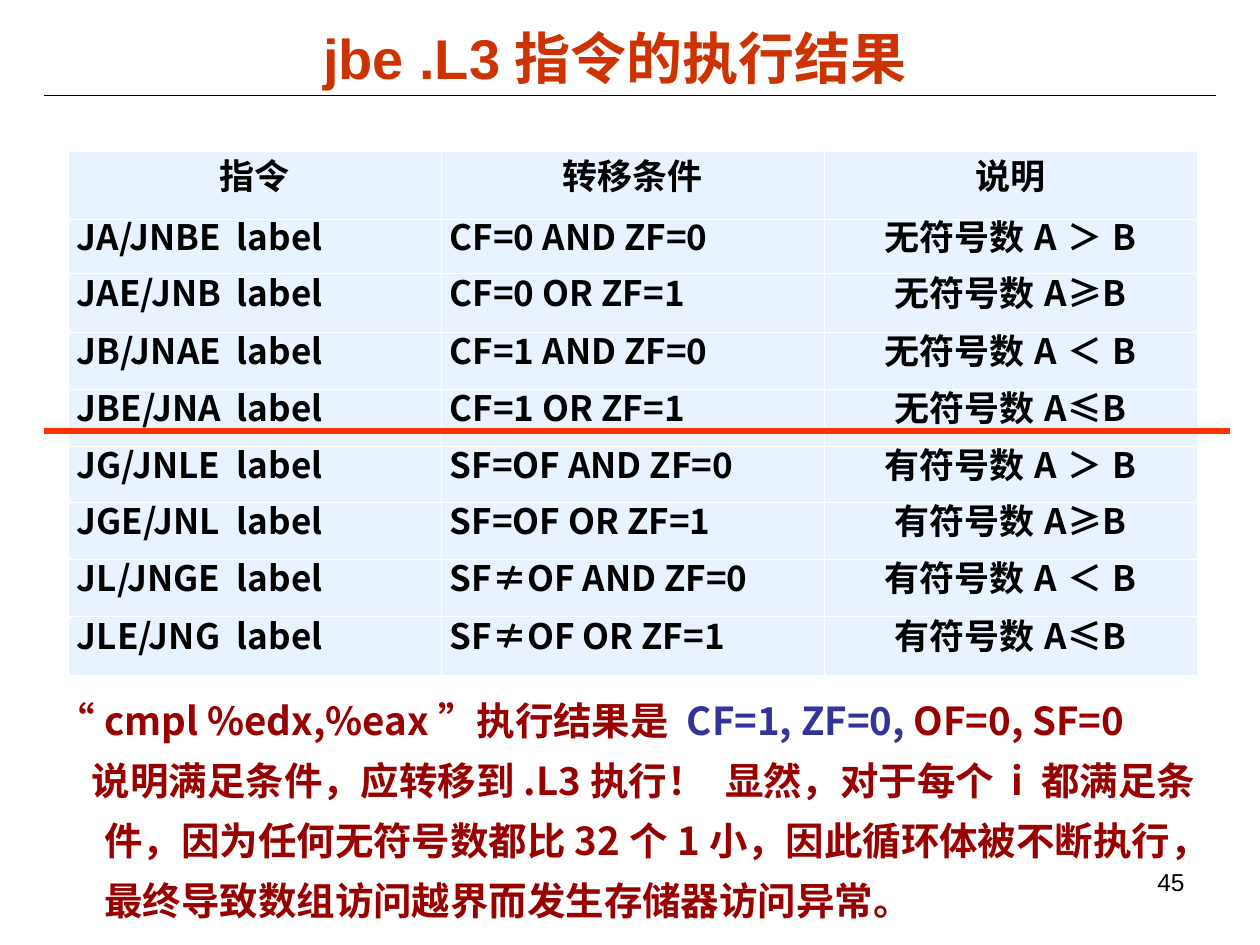
"""Build the slide on conditional jump instructions and the result of jbe."""
from dataclasses import dataclass

from lxml import etree
from pptx import Presentation
from pptx import util as u
from pptx.dml.color import RGBColor
from pptx.enum import shapes, text
from pptx.oxml import ns

COLUMNS, ROWS = 1000, 750
CELL = u.Inches(0.01)
LATIN, CJK = "Arial", "Noto Sans CJK SC"
BLACK = RGBColor(0x00, 0x00, 0x00)
WHITE = RGBColor(0xFF, 0xFF, 0xFF)
ORANGE = RGBColor(0xCC, 0x33, 0x00)
RED = RGBColor(0xFF, 0x33, 0x00)
MAROON = RGBColor(0x99, 0x00, 0x00)
INDIGO = RGBColor(0x33, 0x33, 0x99)
PALE_BLUE = RGBColor(0xE8, 0xF3, 0xFF)
ALIGN = text.PP_ALIGN


@dataclass(frozen=True)
class Frame:
    """A rectangle counted in grid columns and rows."""
    column: int
    row: int
    columns: int
    rows: int

    def lengths(self) -> tuple[int, ...]:
        return tuple(n * CELL for n in (self.column, self.row, self.columns, self.rows))


@dataclass(frozen=True)
class Style:
    """The look of a run of text."""
    size: int
    color: RGBColor
    latin: str = CJK
    bold: bool = True


@dataclass(frozen=True)
class Rule:
    """A horizontal line across the slide."""
    start: int
    end: int
    row: int
    color: RGBColor
    width: float


@dataclass(frozen=True)
class Jump:
    """One row of the instruction table."""
    names: str
    condition: str
    meaning: str


TITLE = Style(32, ORANGE, LATIN)
TABLE = Style(20, BLACK)
NOTE = Style(22, MAROON)
FLAGS = Style(22, INDIGO)
NUMBER = Style(14, BLACK, LATIN, False)

HEADINGS = ("指令", "转移条件", "说明")
JUMPS = (
    Jump("JA/JNBE", "CF=0 AND ZF=0", "无符号数A＞B"),
    Jump("JAE/JNB", "CF=0 OR ZF=1", "无符号数A≥B"),
    Jump("JB/JNAE", "CF=1 AND ZF=0", "无符号数A＜B"),
    Jump("JBE/JNA", "CF=1 OR ZF=1", "无符号数A≤B"),
    Jump("JG/JNLE", "SF=OF AND ZF=0", "有符号数A＞B"),
    Jump("JGE/JNL", "SF=OF OR ZF=1", "有符号数A≥B"),
    Jump("JL/JNGE", "SF≠OF AND ZF=0", "有符号数A＜B"),
    Jump("JLE/JNG", "SF≠OF OR ZF=1", "有符号数A≤B"),
)
TABLE_COLUMNS = (296, 304, 296)
TABLE_ROWS = (54, 43, 47, 45, 45, 45, 45, 45, 47)
LABEL_TAB = 127
HEADER_RULE = Rule(35, 965, 76, BLACK, 0.75)
SIGN_RULE = Rule(35, 976, 342, RED, 3)
NOTE_LINES = (
    (-38, (("“cmpl %edx,%eax”执行结果是 ", NOTE),
           ("CF=1, ZF=0, ", FLAGS),
           ("OF=0, SF=0", NOTE))),
    (-10, (("说明满足条件，应转移到.L3执行！\u2002显然，对于每个 i 都满足条件，"
            "因为任何无符号数都比32个1小，因此循环体被不断执行，"
            "最终导致数组访问越界而发生存储器访问异常。", NOTE),)),
)


def add_span(para, words: str, style: Style) -> None:
    span = para.add_run()
    span.text = words
    span.font.size = u.Pt(style.size)
    span.font.bold = style.bold
    span.font.name = style.latin
    span.font.color.rgb = style.color
    east_asian = etree.SubElement(span.font._element, ns.qn("a:ea"))
    east_asian.set("typeface", CJK)


def set_margins(holder, side: float, edge: float) -> None:
    holder.margin_left = holder.margin_right = u.Inches(side)
    holder.margin_top = holder.margin_bottom = u.Inches(edge)


def add_rule(page, rule: Rule) -> None:
    line = page.shapes.add_connector(
        shapes.MSO_CONNECTOR.STRAIGHT, rule.start * CELL, rule.row * CELL,
        rule.end * CELL, rule.row * CELL)
    line.line.color.rgb = rule.color
    line.line.width = u.Pt(rule.width)
    etree.SubElement(line._element.spPr, ns.qn("a:effectLst"))


def add_borders(cell, color: RGBColor, width: float) -> None:
    properties = cell._tc.get_or_add_tcPr()
    for place, side in enumerate(("lnL", "lnR", "lnT", "lnB")):
        border = etree.Element(ns.qn(f"a:{side}"), w=str(u.Pt(width)))
        fill = etree.SubElement(border, ns.qn("a:solidFill"))
        etree.SubElement(fill, ns.qn("a:srgbClr"), val=str(color))
        properties.insert(place, border)


def fill_cell(cell, words: str, align) -> None:
    cell.fill.solid()
    cell.fill.fore_color.rgb = PALE_BLUE
    add_borders(cell, WHITE, 0.45)
    set_margins(cell, 0.07, 0.05)
    cell.vertical_anchor = text.MSO_ANCHOR.MIDDLE
    para = cell.text_frame.paragraphs[0]
    para.alignment = align
    para.line_spacing = u.Pt(16)
    if "\t" in words:
        stops = etree.SubElement(para._p.get_or_add_pPr(), ns.qn("a:tabLst"))
        etree.SubElement(stops, ns.qn("a:tab"), pos=str(LABEL_TAB * CELL), algn="l")
    add_span(para, words, TABLE)


def add_jump_table(page, frame: Frame) -> None:
    table = page.shapes.add_table(
        len(TABLE_ROWS), len(TABLE_COLUMNS), *frame.lengths()).table
    table.first_row = table.horz_banding = False
    for column, width in zip(table.columns, TABLE_COLUMNS):
        column.width = width * CELL
    for row, height in zip(table.rows, TABLE_ROWS):
        row.height = height * CELL
    body = [(f"{jump.names}\tlabel", jump.condition, jump.meaning) for jump in JUMPS]
    for r, line in enumerate([HEADINGS, *body]):
        for c, words in enumerate(line):
            centred = r == 0 or c == 2
            fill_cell(table.cell(r, c), words, ALIGN.CENTER if centred else ALIGN.JUSTIFY)


def add_title(page, words: str, frame: Frame) -> None:
    title = page.shapes.title
    title.left, title.top, title.width, title.height = frame.lengths()
    title.text_frame.auto_size = text.MSO_AUTO_SIZE.NONE
    title.text_frame.vertical_anchor = text.MSO_ANCHOR.MIDDLE
    para = title.text_frame.paragraphs[0]
    para.alignment = ALIGN.CENTER
    add_span(para, words, TITLE)


def add_note(page, frame: Frame) -> None:
    box = page.shapes.add_textbox(*frame.lengths())
    box.fill.solid()
    box.fill.fore_color.rgb = WHITE
    body = box.text_frame
    body.word_wrap = True
    body.auto_size = text.MSO_AUTO_SIZE.SHAPE_TO_FIT_TEXT
    set_margins(body, 0.07, 0.03)
    for place, (indent, spans) in enumerate(NOTE_LINES):
        para = body.add_paragraph() if place else body.paragraphs[0]
        para.line_spacing = 1.3
        properties = para._p.get_or_add_pPr()
        properties.set("marL", str(38 * CELL))
        properties.set("indent", str(indent * CELL))
        for words, style in spans:
            add_span(para, words, style)


def add_number(page, words: str, frame: Frame) -> None:
    box = page.shapes.add_textbox(*frame.lengths())
    box.text_frame.word_wrap = True
    para = box.text_frame.paragraphs[0]
    para.alignment = ALIGN.RIGHT
    add_span(para, words, NUMBER)


def main() -> None:
    deck = Presentation()
    deck.slide_width, deck.slide_height = COLUMNS * CELL, ROWS * CELL
    page = deck.slides.add_slide(deck.slide_layouts.get_by_name("Title Only"))
    add_rule(page, HEADER_RULE)
    add_title(page, "jbe .L3指令的执行结果", Frame(180, 16, 616, 58))
    add_jump_table(page, Frame(54, 120, sum(TABLE_COLUMNS), sum(TABLE_ROWS)))
    add_rule(page, SIGN_RULE)
    add_note(page, Frame(38, 539, 924, 196))
    add_number(page, "45", Frame(717, 683, 233, 52))
    deck.save("out.pptx")


if __name__ == "__main__":
    main()
